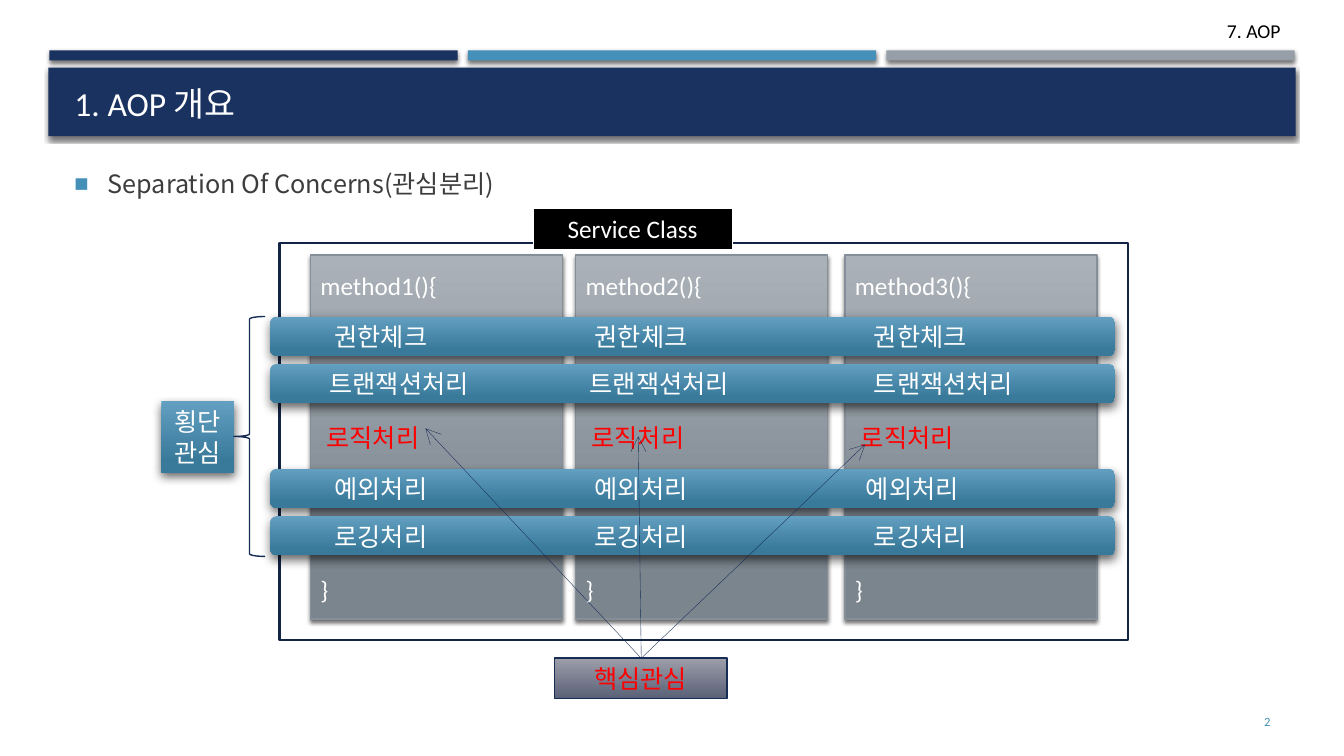
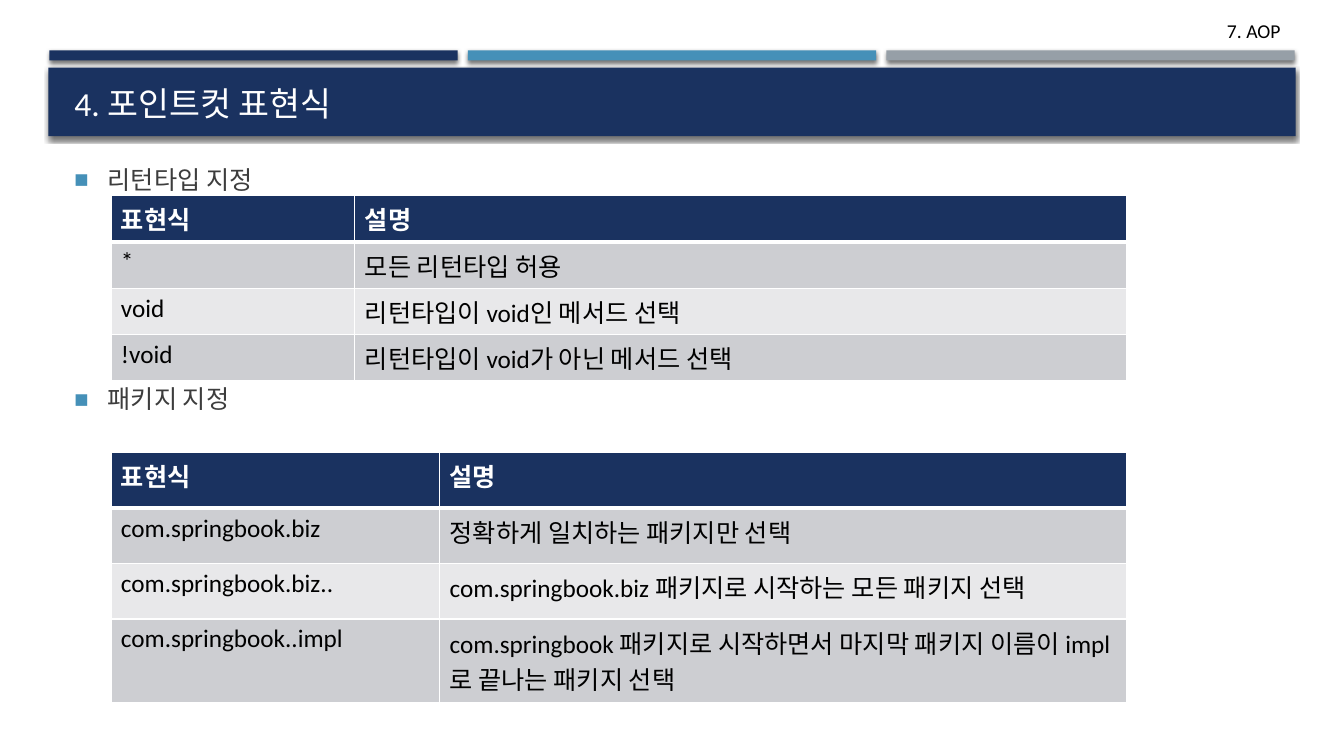
from dataclasses import dataclass
from typing import Optional

from lxml.etree import SubElement
from pptx import Presentation
from pptx.dml.color import RGBColor
from pptx.enum.shapes import MSO_CONNECTOR as Connector, MSO_SHAPE as Preset
from pptx.enum.text import MSO_ANCHOR as Anchor, PP_ALIGN as Align
from pptx.oxml.ns import qn
from pptx.util import Inches, Pt

NAVY = RGBColor(0x1A, 0x32, 0x60)
NAVY_LINE = RGBColor(0x17, 0x2D, 0x56)
FRAME_LINE = RGBColor(0x13, 0x24, 0x47)
BLUE = RGBColor(0x45, 0x90, 0xB8)
GRAY = RGBColor(0x96, 0x9F, 0xA7)
CARD_LINE = RGBColor(0x85, 0x8F, 0x99)
BODY = RGBColor(0x3D, 0x3D, 0x3D)
BLACK = RGBColor(0, 0, 0)
WHITE = RGBColor(255, 255, 255)
RED = RGBColor(255, 0, 0)
ROW_FILLS = (RGBColor(0xE8, 0xE8, 0xEA), RGBColor(0xCD, 0xCE, 0xD2))

LATIN = "Calibri"
KOREAN = "Noto Sans CJK KR"


@dataclass(frozen=True)
class Gradient:
    top: RGBColor
    bottom: RGBColor
    end: float


@dataclass(frozen=True)
class Shadow:
    alpha: int
    blur: int
    distance: int
    angle: int


@dataclass(frozen=True)
class Look:
    fill: object = None
    line: Optional[RGBColor] = None
    weight: float = 1
    shadow: Optional[Shadow] = None


@dataclass(frozen=True)
class Concern:
    name: str
    top: float
    lefts: tuple


@dataclass(frozen=True)
class ExpressionTable:
    top: float
    widths: tuple
    heights: tuple
    rows: tuple


THIN_SHADOW = Shadow(55, 3, 2, 90)
DEEP_SHADOW = Shadow(60, 7, 3, 84)
STEEL = Gradient(RGBColor(0xAA, 0xB1, 0xB8), RGBColor(0x7B, 0x85, 0x8E), 0.84)
SKY = Gradient(RGBColor(0x62, 0x9F, 0xC1), RGBColor(0x39, 0x79, 0x9A), 0.84)
SLATE = Gradient(RGBColor(0x9C, 0x9E, 0xA9), RGBColor(0x5A, 0x60, 0x77), 1)
CROSSCUT = Look(SKY, shadow=DEEP_SHADOW)
CARD = Look(STEEL, CARD_LINE, shadow=THIN_SHADOW)

CARD_LEFTS = (3.08, 5.71, 8.38)
CONCERNS = (
    Concern("권한체크", 3.14, (3.22, 5.8, 8.57)),
    Concern("트랜잭션처리", 3.61, (3.17, 5.75, 8.57)),
    Concern("예외처리", 4.65, (3.22, 5.8, 8.49)),
    Concern("로깅처리", 5.12, (3.22, 5.8, 8.57)),
)
CORE_TOP = (6.36, 6.53)
ARROW_TIPS = ((4.22, 4.25), (6.33, 4.33), (8.58, 4.41))

HEADER = ("표현식", "설명")
RETURN_TYPES = ExpressionTable(1.94, (2.42, 7.65), (0.46,) * 4, (
    HEADER,
    ("*", "모든 리턴타입 허용"),
    ("void", "리턴타입이 void인 메서드 선택"),
    ("!void", "리턴타입이 void가 아닌 메서드 선택"),
))
PACKAGES = ExpressionTable(4.49, (3.26, 6.81), (0.55, 0.55, 0.55, 0.83), (
    HEADER,
    ("com.springbook.biz", "정확하게 일치하는 패키지만 선택"),
    ("com.springbook.biz..", "com.springbook.biz 패키지로 시작하는 모든 패키지 선택"),
    ("com.springbook..impl",
     "com.springbook 패키지로 시작하면서 마지막 패키지 이름이 impl로 끝나는 패키지 선택"),
))


def write(frame, text: str, *, size=18, color=WHITE, font=LATIN, bold=False,
          align=Align.LEFT, anchor=None, gap=0):
    first = frame.paragraphs[0]
    paragraph = frame.add_paragraph() if first.runs else first
    paragraph.alignment = align
    paragraph.space_before = Pt(gap)
    run = paragraph.add_run()
    run.text = text
    run.font.size = Pt(size)
    run.font.bold = bold
    run.font.color.rgb = color
    run.font.name = font
    SubElement(run.font._element, qn("a:ea"), typeface=KOREAN)
    if anchor is not None:
        frame.vertical_anchor = anchor
    return paragraph


def add_text(slide, left: float, top: float, width: float, height: float, text: str, **style):
    box = slide.shapes.add_textbox(Inches(left), Inches(top), Inches(width), Inches(height))
    box.text_frame.word_wrap = True
    return write(box.text_frame, text, **style)


def add_block(slide, left: float, top: float, width: float, height: float, look: Look,
              preset=Preset.RECTANGLE):
    block = slide.shapes.add_shape(
        preset, Inches(left), Inches(top), Inches(width), Inches(height))
    block.shadow.inherit = False
    if isinstance(look.fill, Gradient):
        block.fill.gradient()
        block.fill.gradient_angle = 270
        start, end = block.fill.gradient_stops
        start.color.rgb, start.position = look.fill.top, 0
        end.color.rgb, end.position = look.fill.bottom, look.fill.end
    elif look.fill is None:
        block.fill.background()
    else:
        block.fill.solid()
        block.fill.fore_color.rgb = look.fill
    if look.line is None:
        block.line.fill.background()
    else:
        block.line.color.rgb = look.line
        block.line.width = Pt(look.weight)
    if look.shadow:
        cast_shadow(block, look.shadow)
    return block


def cast_shadow(block, shadow: Shadow) -> None:
    effects = block._element.spPr.find(qn("a:effectLst"))
    outer = SubElement(
        effects, qn("a:outerShdw"), blurRad=str(Pt(shadow.blur)),
        dist=str(Pt(shadow.distance)), dir=str(shadow.angle * 60000), rotWithShape="0")
    tint = SubElement(outer, qn("a:srgbClr"), val="000000")
    SubElement(tint, qn("a:alpha"), val=str(shadow.alpha * 1000))


def add_arrow(slide, start: tuple, tip: tuple) -> None:
    arrow = slide.shapes.add_connector(
        Connector.STRAIGHT, *(Inches(value) for value in start + tip))
    arrow.line.color.rgb = NAVY_LINE
    arrow.line.width = Pt(0.25)
    SubElement(arrow.line._get_or_add_ln(), qn("a:tailEnd"), type="arrow", w="lg", len="lg")
    SubElement(arrow._element.spPr, qn("a:effectLst"))


def add_bullet(slide, top: float, text: str) -> None:
    paragraph = add_text(slide, 0.64, top, 12.06, 0.45, text, color=BODY, font=KOREAN)
    paragraph.line_spacing = 0.9
    props = paragraph._p.get_or_add_pPr()
    props.set("marL", str(Inches(0.33)))
    props.set("indent", str(-Inches(0.33)))
    SubElement(SubElement(props, qn("a:buClr")), qn("a:srgbClr"), val=str(BLUE))
    SubElement(props, qn("a:buSzPct"), val="60000")
    SubElement(props, qn("a:buFont"), typeface=LATIN)
    SubElement(props, qn("a:buChar"), char="■")


def border_cell(cell, top: float, bottom: float) -> None:
    props = cell._tc.get_or_add_tcPr()
    for side, weight in (("lnL", 0.96), ("lnR", 0.96), ("lnT", top), ("lnB", bottom)):
        edge = SubElement(props, qn(f"a:{side}"), w=str(Pt(weight)))
        SubElement(SubElement(edge, qn("a:solidFill")), qn("a:srgbClr"), val=str(WHITE))


def add_expressions(slide, content: ExpressionTable) -> None:
    grid = slide.shapes.add_table(
        len(content.rows), len(content.widths), Inches(1.1), Inches(content.top),
        Inches(sum(content.widths)), Inches(sum(content.heights))).table
    for column, width in zip(grid.columns, content.widths):
        column.width = Inches(width)
    for index, (texts, height) in enumerate(zip(content.rows, content.heights)):
        grid.rows[index].height = Inches(height)
        is_header = index == 0
        for column, text in enumerate(texts):
            cell = grid.cell(index, column)
            border_cell(cell, 3 if index == 1 else 0.96, 3 if is_header else 0.96)
            cell.fill.solid()
            cell.fill.fore_color.rgb = NAVY if is_header else ROW_FILLS[index % 2]
            write(cell.text_frame, text, bold=is_header, color=WHITE if is_header else BLACK)


def add_page(deck, title: str):
    slide = deck.slides.add_slide(deck.slide_layouts[6])
    for index, color in enumerate((NAVY, BLUE, GRAY)):
        add_block(slide, 0.49 + index * 4.15, 0.5, 4.05, 0.1, Look(color, shadow=THIN_SHADOW))
    add_text(slide, 8.76, 0.14, 4.04, 0.33, "7. AOP", size=14, color=BLACK, align=Align.RIGHT)
    add_block(slide, 0.48, 0.67, 12.37, 0.68, Look(NAVY, shadow=THIN_SHADOW))
    add_text(slide, 0.64, 0.72, 12.06, 0.55, title, size=24, anchor=Anchor.BOTTOM)
    return slide


def add_method(slide, number: int, left: float) -> None:
    frame = add_block(slide, left, 2.53, 2.5, 3.61, CARD).text_frame
    write(frame, f"method{number}(){{", anchor=Anchor.MIDDLE)
    logic = write(frame, "로직처리", color=RED, gap=87)
    logic._p.get_or_add_pPr().set("marL", str(Inches(0.06)))
    write(frame, "}", gap=87)


def add_concern(slide, concern: Concern) -> None:
    add_block(slide, 2.68, concern.top, 8.38, 0.39, CROSSCUT, Preset.ROUNDED_RECTANGLE)
    for left in concern.lefts:
        add_text(slide, left, concern.top, 1.9, 0.46, concern.name)


def build_overview(deck) -> None:
    slide = add_page(deck, "1. AOP 개요")
    add_bullet(slide, 1.65, "Separation Of Concerns(관심분리)")
    add_text(slide, 11.55, 6.96, 1.15, 0.4, "2", size=9, color=BLUE,
             align=Align.RIGHT, anchor=Anchor.MIDDLE)
    add_block(slide, 2.77, 2.41, 8.42, 3.94, Look(line=FRAME_LINE, weight=1.75))
    service = add_block(slide, 5.29, 2.07, 1.97, 0.4, Look(BLACK, WHITE, 0.25))
    write(service.text_frame, "Service Class", align=Align.CENTER, anchor=Anchor.MIDDLE)
    for number, left in enumerate(CARD_LEFTS, 1):
        add_method(slide, number, left)
    for concern in CONCERNS:
        add_concern(slide, concern)
    crosscut = add_block(slide, 1.6, 3.98, 0.72, 0.71, CROSSCUT)
    for word in ("횡단", "관심"):
        write(crosscut.text_frame, word, align=Align.CENTER, anchor=Anchor.MIDDLE)
    add_block(slide, 2.32, 3.14, 0.31, 2.38, Look(line=NAVY_LINE), Preset.LEFT_BRACE)
    core = add_block(slide, 5.5, 6.53, 1.71, 0.4, Look(SLATE, NAVY_LINE))
    write(core.text_frame, "핵심관심", color=RED, align=Align.CENTER, anchor=Anchor.MIDDLE)
    for tip in ARROW_TIPS:
        add_arrow(slide, CORE_TOP, tip)


def build_pointcuts(deck) -> None:
    slide = add_page(deck, "4. 포인트컷 표현식")
    add_bullet(slide, 1.61, "리턴타입 지정")
    add_bullet(slide, 3.79, "패키지 지정")
    add_expressions(slide, RETURN_TYPES)
    add_expressions(slide, PACKAGES)


def main() -> None:
    deck = Presentation()
    deck.slide_width = Inches(13.33)
    deck.slide_height = Inches(7.5)
    build_overview(deck)
    build_pointcuts(deck)
    deck.save("out.pptx")


if __name__ == "__main__":
    main()
